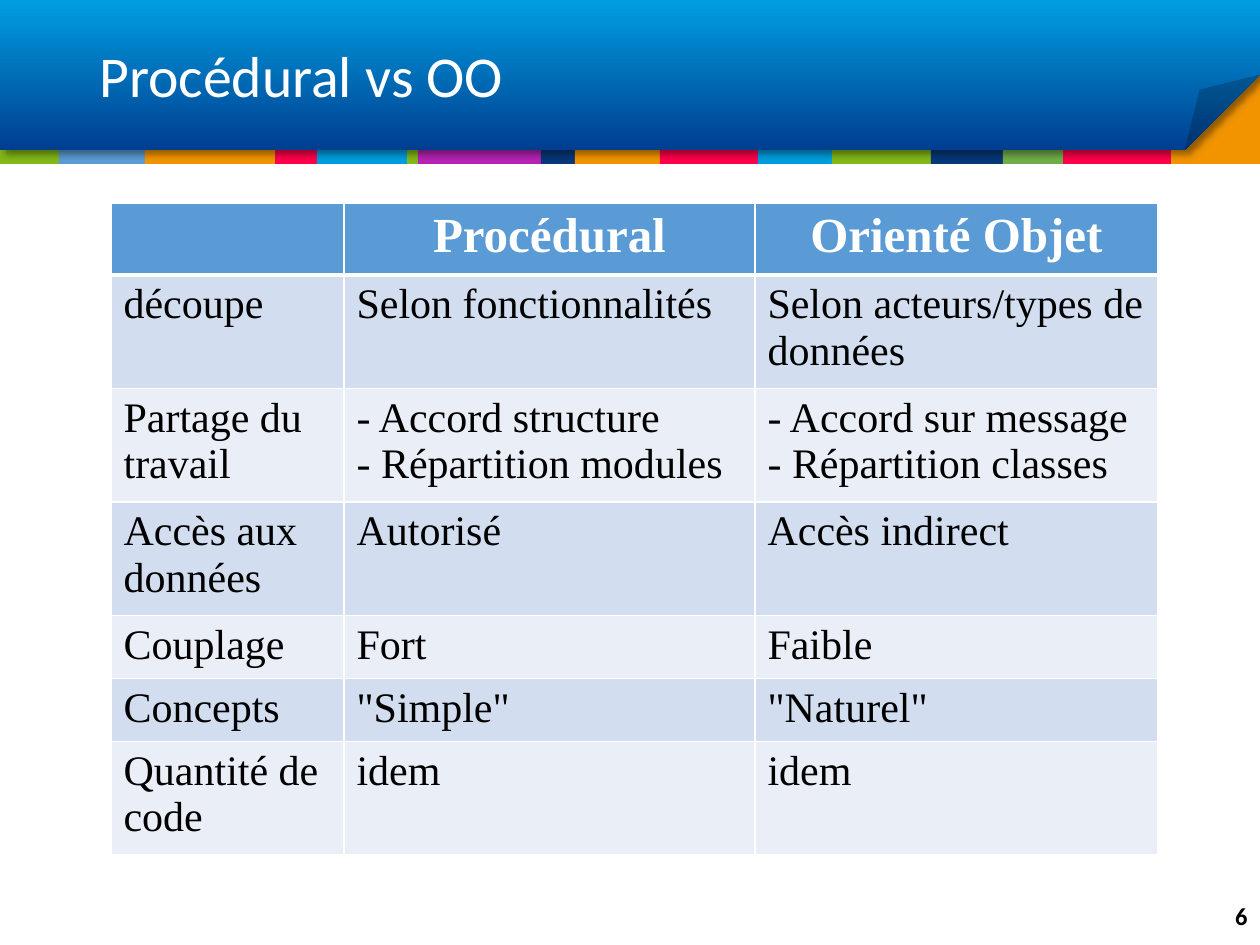
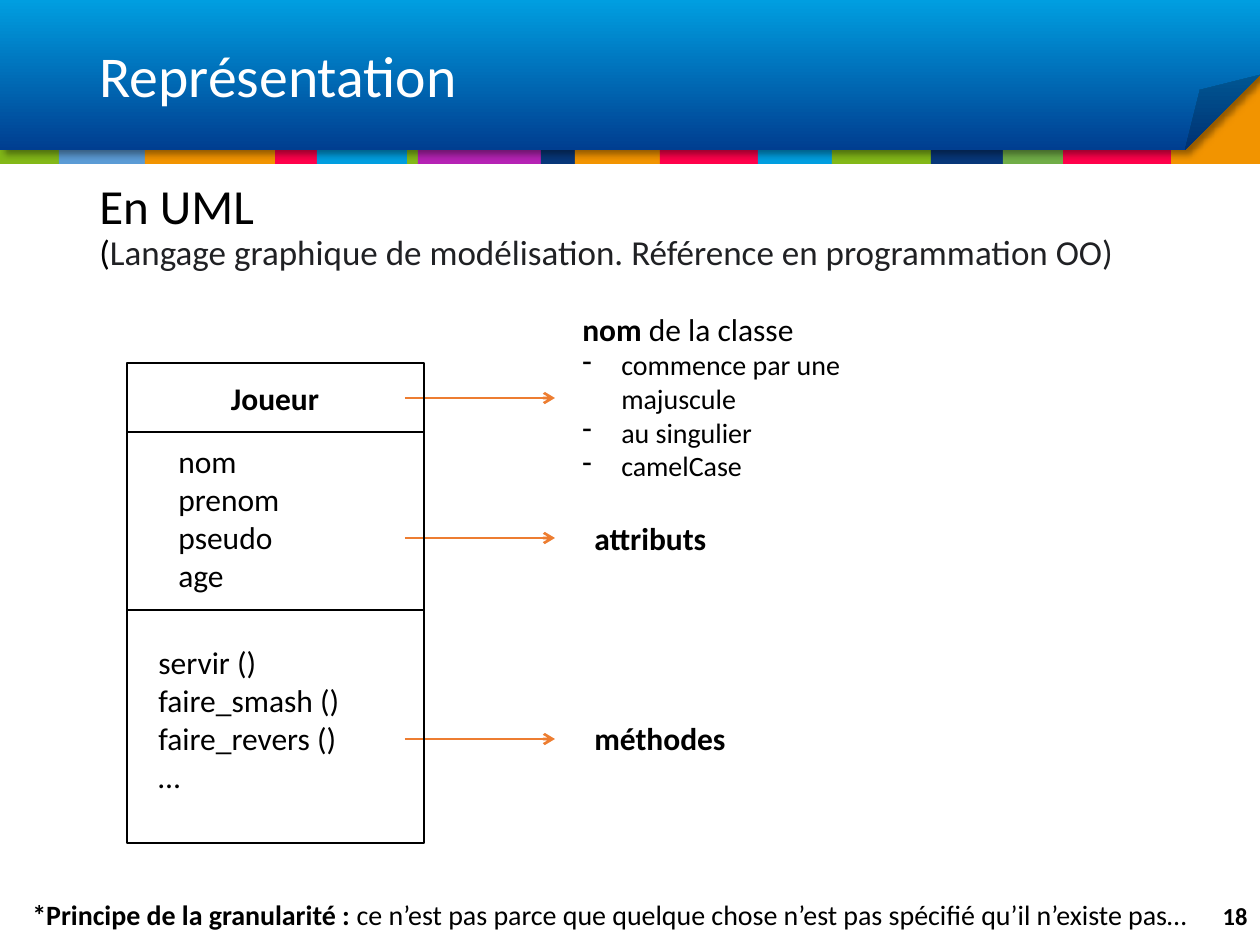
from collections.abc import Sequence
from dataclasses import dataclass
from typing import NamedTuple

from lxml.etree import SubElement
from pptx import Presentation
from pptx.dml.color import RGBColor
from pptx.enum.shapes import MSO_CONNECTOR, MSO_SHAPE
from pptx.enum.text import MSO_ANCHOR as Anchor, PP_ALIGN as Align
from pptx.oxml.ns import qn
from pptx.util import Emu, Pt

PX_PER_INCH = 126
EMU_PER_PX = 914400 / PX_PER_INCH

WHITE = RGBColor(0xFF, 0xFF, 0xFF)
BLACK = RGBColor(0x00, 0x00, 0x00)
INK = RGBColor(0x20, 0x21, 0x24)
GREEN = RGBColor(0x83, 0xB8, 0x18)
LEAF = RGBColor(0x70, 0xAD, 0x47)
ORANGE = RGBColor(0xF2, 0x94, 0x00)
STEEL = RGBColor(0x5B, 0x9B, 0xD5)
RED = RGBColor(0xFF, 0x01, 0x4B)
SKY = RGBColor(0x00, 0x9E, 0xE0)
DEEP_BLUE = RGBColor(0x00, 0x3E, 0x90)
PURPLE = RGBColor(0xB5, 0x23, 0xB4)
NAVY = RGBColor(0x07, 0x37, 0x79)
ARROW = RGBColor(0xED, 0x7D, 0x31)
ROW_DARK = RGBColor(0xD2, 0xDE, 0xEF)
ROW_LIGHT = RGBColor(0xEA, 0xEF, 0xF7)

SANS = "Calibri"
SERIF = "Times New Roman"
BULLET_INDENT = 39


class Box(NamedTuple):
    left: int
    top: int
    width: int
    height: int


class Stripe(NamedTuple):
    left: int
    width: int
    color: RGBColor
    top: int = 102


class Member(NamedTuple):
    """One compartment of the class diagram and the text inside it."""
    frame: Box
    text: Box
    lines: list[str]
    bold: bool = False
    align: Align = Align.LEFT


@dataclass(frozen=True)
class Span:
    text: str
    size: int | None = None
    bold: bool | None = None
    color: RGBColor | None = None


@dataclass(frozen=True)
class Para:
    spans: tuple[Span, ...]
    bullet: bool = False


STRIPE_BOTTOM = 164
STRIPES = [
    Stripe(374, 64, GREEN), Stripe(1160, 100, ORANGE, top=59),
    Stripe(0, 64, GREEN), Stripe(59, 87, STEEL), Stripe(145, 139, ORANGE),
    Stripe(275, 43, RED), Stripe(317, 90, SKY), Stripe(418, 127, PURPLE),
    Stripe(541, 35, NAVY), Stripe(575, 89, ORANGE), Stripe(660, 98, RED),
    Stripe(758, 77, SKY), Stripe(832, 115, GREEN), Stripe(931, 73, NAVY),
    Stripe(1003, 63, LEAF), Stripe(1063, 108, RED),
]
BANNER = Box(0, 0, 1260, 150)
TITLE = Box(87, 32, 1086, 94)
PAGE_NUMBER = Box(1173, 891, 87, 50)

TABLE = Box(111, 203, 1047, 611)
COLUMN_WIDTHS = [233, 411, 403]
ROW_HEIGHTS = [72, 105, 106, 105, 59, 59, 105]
COMPARISON = [
    ["", "Procédural", "Orienté Objet"],
    ["découpe", "Selon fonctionnalités", "Selon acteurs/types de données"],
    ["Partage du travail", "- Accord structure\n- Répartition modules",
     "- Accord sur message\n- Répartition classes"],
    ["Accès aux données", "Autorisé", "Accès indirect"],
    ["Couplage", "Fort", "Faible"],
    ["Concepts", '"Simple"', '"Naturel"'],
    ["Quantité de code", "idem", "idem"],
]

PLAYER_CLASS = [
    Member(Box(127, 363, 297, 69), Box(146, 373, 258, 50), ["Joueur"],
           bold=True, align=Align.CENTER),
    Member(Box(127, 432, 297, 178), Box(166, 436, 198, 204),
           ["nom", "prenom", "pseudo", "age"]),
    Member(Box(127, 610, 297, 233), Box(146, 637, 297, 165),
           ["servir ()", "faire_smash ()", "faire_revers ()", "…"]),
]
ARROW_LEFT, ARROW_RIGHT = 405, 555
ARROW_HEIGHTS = [398, 538, 739]


def px(length: int) -> Emu:
    return Emu(round(length * EMU_PER_PX))


def place(box: Box) -> tuple[Emu, ...]:
    return tuple(px(length) for length in box)


def write(frame, paras: Sequence[str | Para], *, size: int, font: str = SANS,
          color: RGBColor = BLACK, bold: bool = False,
          align: Align = Align.LEFT, line_spacing: float | None = None) -> None:
    """Fill a text frame; spans override the given format."""
    for index, item in enumerate(paras):
        para = frame.paragraphs[0] if index == 0 else frame.add_paragraph()
        para.alignment = align
        if line_spacing:
            para.line_spacing = line_spacing
        content = Para((Span(item),)) if isinstance(item, str) else item
        if content.bullet:
            add_dash(para)
        for part in content.spans:
            span = para.add_run()
            span.text = part.text.rstrip("\n")
            span.font.name = font
            span.font.size = Pt(part.size or size)
            span.font.bold = bold if part.bold is None else part.bold
            span.font.color.rgb = part.color or color
            if part.text.endswith("\n"):
                para.add_line_break()


def add_dash(para) -> None:
    properties = para._p.get_or_add_pPr()
    properties.set("marL", str(px(BULLET_INDENT)))
    properties.set("indent", str(-px(BULLET_INDENT)))
    SubElement(properties, qn("a:buChar"), char="-")


def add_text(page, box: Box, paras: Sequence[str | Para], *,
             anchor: Anchor = Anchor.TOP, **text_format) -> None:
    frame = page.shapes.add_textbox(*place(box)).text_frame
    frame.word_wrap = True
    frame.vertical_anchor = anchor
    write(frame, paras, **text_format)


def add_panel(page, box: Box, *, fill: RGBColor | None = None,
              line: RGBColor | None = None, kind=MSO_SHAPE.RECTANGLE):
    panel = page.shapes.add_shape(kind, *place(box))
    if fill is None:
        panel.fill.background()
    else:
        panel.fill.solid()
        panel.fill.fore_color.rgb = fill
    if line is None:
        panel.line.fill.background()
    else:
        panel.line.color.rgb = line
        panel.line.width = Pt(1.5)
    panel.shadow.inherit = False
    return panel


def add_banner(page) -> None:
    banner = add_panel(page, BANNER, kind=MSO_SHAPE.FOLDED_CORNER)
    guides = next(banner.element.iter(qn("a:avLst")))
    SubElement(guides, qn("a:gd"), name="adj", fmla="val 50000")
    banner.fill.gradient()
    banner.fill.gradient_angle = 270
    for stop, color in zip(banner.fill.gradient_stops, (SKY, DEEP_BLUE)):
        stop.color.rgb = color
    effects = banner.element.spPr.find(qn("a:effectLst"))
    shadow = SubElement(effects, qn("a:outerShdw"), blurRad=str(Pt(4)),
                        dist=str(Pt(3)), dir="2700000", algn="tl",
                        rotWithShape="0")
    tint = SubElement(shadow, qn("a:srgbClr"), val=str(BLACK))
    SubElement(tint, qn("a:alpha"), val="40000")


def add_page(deck, title: str, number: int):
    """Add a slide with the shared stripes, banner, title and number."""
    page = deck.slides.add_slide(deck.slide_layouts[6])
    for stripe in STRIPES:
        box = Box(stripe.left, stripe.top, stripe.width,
                  STRIPE_BOTTOM - stripe.top)
        add_panel(page, box, fill=stripe.color)
    add_banner(page)
    add_text(page, TITLE, [title], size=33, color=WHITE, line_spacing=0.9,
             anchor=Anchor.MIDDLE)
    add_text(page, PAGE_NUMBER, [str(number)], size=14, bold=True,
             align=Align.RIGHT, anchor=Anchor.MIDDLE)
    return page


def add_borders(cell, bottom: int) -> None:
    properties = cell._tc.get_or_add_tcPr()
    for side, width in (("L", 1), ("R", 1), ("T", 1), ("B", bottom)):
        edge = SubElement(properties, qn(f"a:ln{side}"), w=str(Pt(width)))
        paint = SubElement(edge, qn("a:solidFill"))
        SubElement(paint, qn("a:srgbClr"), val=str(WHITE))


def add_comparison(page) -> None:
    table = page.shapes.add_table(len(ROW_HEIGHTS), len(COLUMN_WIDTHS),
                                  *place(TABLE)).table
    table.first_row = table.horz_banding = False
    for column, width in zip(table.columns, COLUMN_WIDTHS):
        column.width = px(width)
    for index, (row, height) in enumerate(zip(table.rows, ROW_HEIGHTS)):
        row.height = px(height)
        header = index == 0
        fill = STEEL if header else ROW_DARK if index % 2 else ROW_LIGHT
        for cell, text in zip(row.cells, COMPARISON[index]):
            add_borders(cell, bottom=3 if header else 1)
            cell.fill.solid()
            cell.fill.fore_color.rgb = fill
            if text:
                write(cell.text_frame, text.split("\n"), font=SERIF,
                      size=28 if header else 24, bold=header,
                      color=WHITE if header else BLACK,
                      align=Align.CENTER if header else Align.LEFT)


def add_arrow(page, height: int) -> None:
    arrow = page.shapes.add_connector(
        MSO_CONNECTOR.STRAIGHT, px(ARROW_LEFT), px(height),
        px(ARROW_RIGHT), px(height))
    arrow.line.color.rgb = ARROW
    arrow.line.width = Pt(1.5)
    properties = arrow.element.spPr
    SubElement(properties.find(qn("a:ln")), qn("a:tailEnd"), type="arrow")
    SubElement(properties, qn("a:effectLst"))


def add_class_diagram(page) -> None:
    for height in ARROW_HEIGHTS:
        add_arrow(page, height)
    for member in PLAYER_CLASS:
        add_panel(page, member.frame, line=BLACK)
        add_text(page, member.text, member.lines, size=18, bold=member.bold,
                 align=member.align)


def build_comparison_page(deck) -> None:
    add_comparison(add_page(deck, "Procédural vs OO", 6))


def build_uml_page(deck) -> None:
    page = add_page(deck, "Représentation", 18)
    intro = Para((
        Span("En UML\n", size=28), Span("("),
        Span("Langage graphique de modélisation. "
             "Référence en programmation OO)", color=INK)))
    add_text(page, Box(87, 176, 1086, 746), [intro], size=20,
             line_spacing=0.9)

    rules = ["commence par une majuscule", "au singulier", "camelCase"]
    naming = [Para((Span("nom ", bold=True), Span("de la classe")))]
    naming += [Para((Span(rule, size=16),), bullet=True) for rule in rules]
    add_text(page, Box(570, 304, 314, 186), naming, size=18)
    add_text(page, Box(582, 513, 186, 50), ["attributs"], size=18, bold=True)
    add_text(page, Box(582, 713, 214, 50), ["méthodes"], size=18, bold=True)
    add_class_diagram(page)

    principle = Para((
        Span("*Principe de la granularité : ", bold=True),
        Span("ce n’est pas parce que quelque chose n’est pas spécifié "
             "qu’il n’existe pas…")))
    add_text(page, Box(20, 891, 1196, 47), [principle], size=16)


def main() -> None:
    deck = Presentation()
    deck.slide_width, deck.slide_height = px(1260), px(945)
    build_comparison_page(deck)
    build_uml_page(deck)
    deck.save("out.pptx")


if __name__ == "__main__":
    main()
